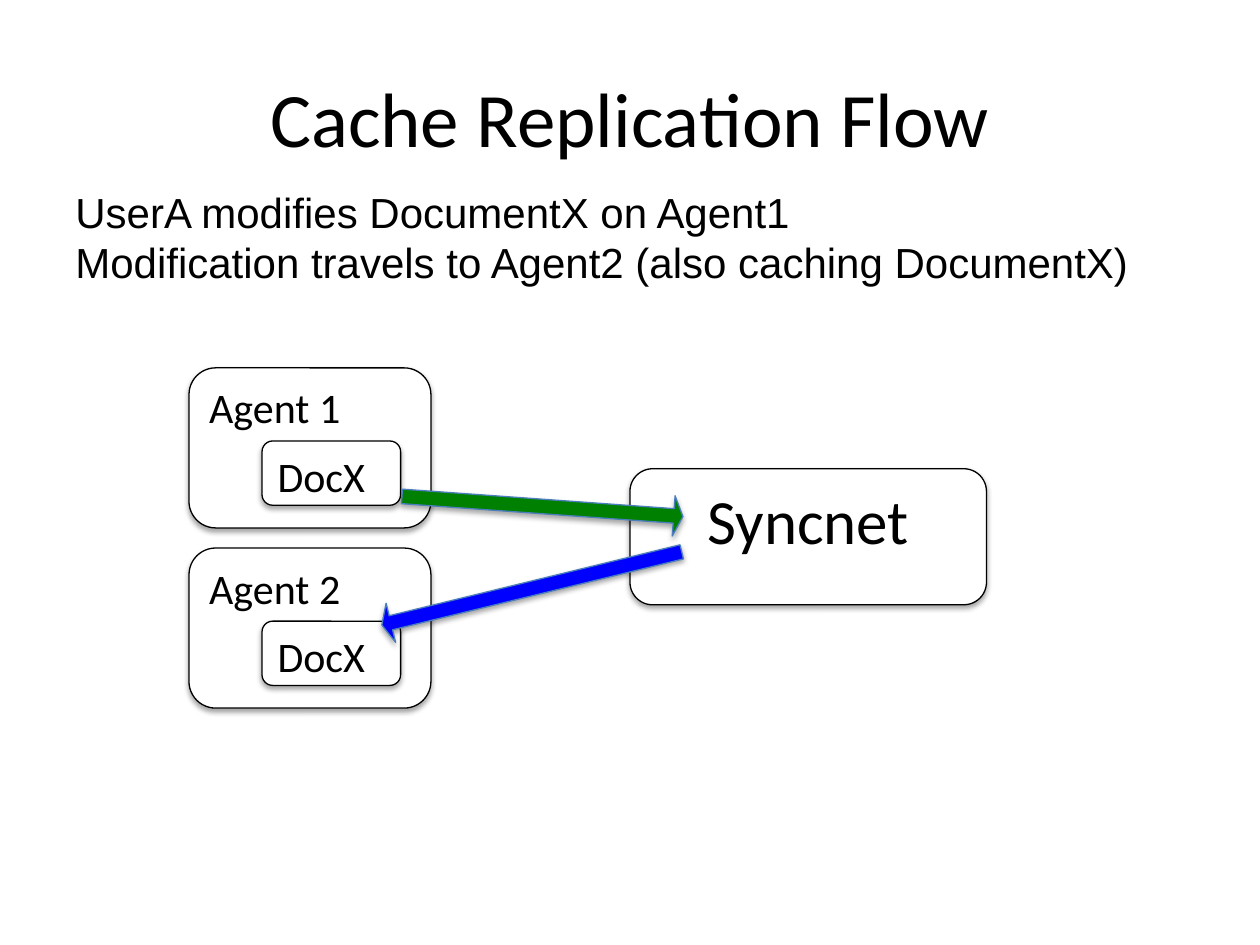
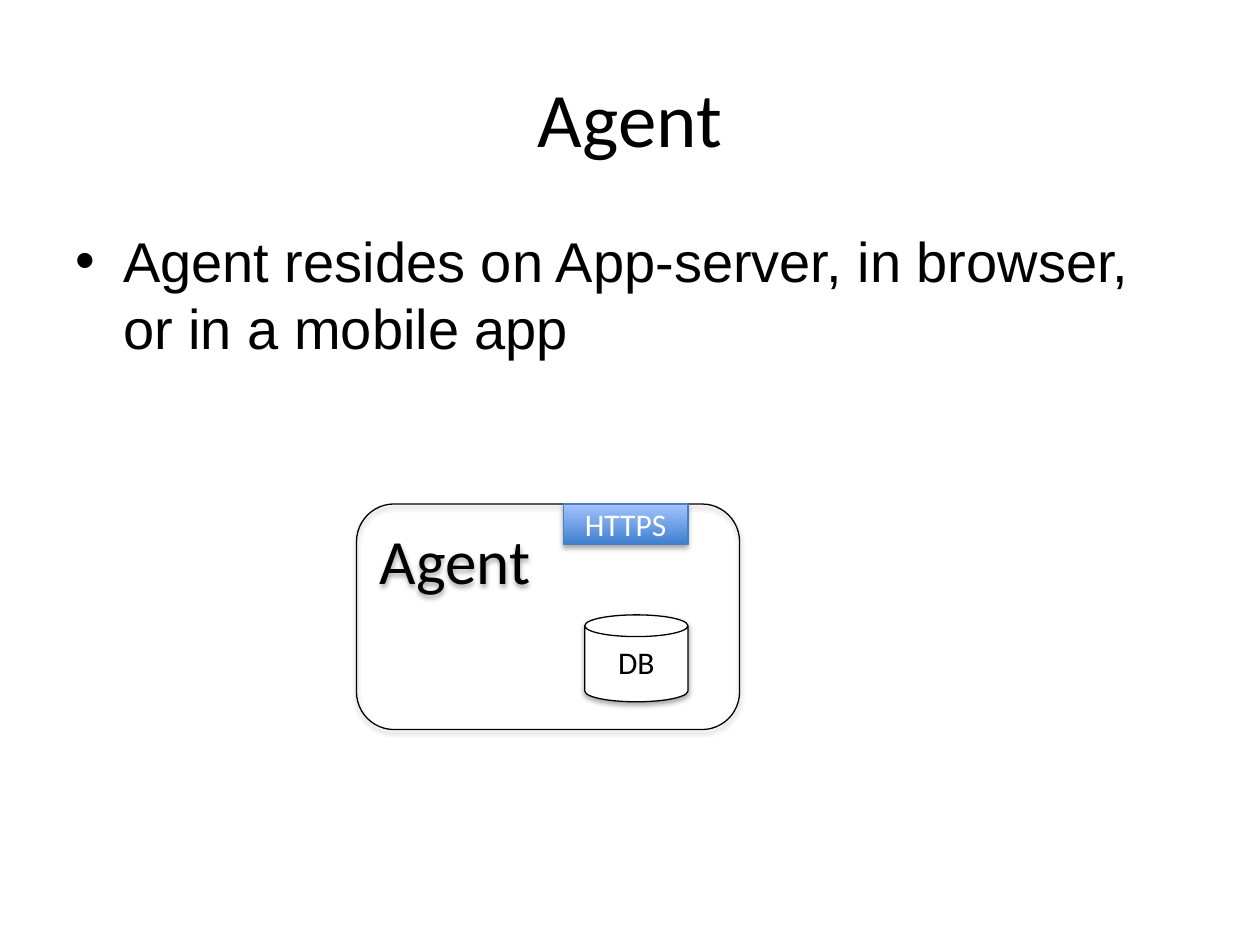
from math import atan2, degrees, hypot

from lxml.etree import SubElement
from pptx import Presentation
from pptx.dml.color import RGBColor
from pptx.enum.shapes import MSO_SHAPE as SHAPE
from pptx.enum.text import MSO_ANCHOR as ANCHOR, PP_ALIGN as ALIGN
from pptx.oxml.ns import qn
from pptx.util import Inches, Pt

WIDTH, HEIGHT = 10, 7.5
MARGIN = 0.05 * WIDTH
BODY_W = WIDTH - 2 * MARGIN

BLACK = RGBColor(0x00, 0x00, 0x00)
WHITE = RGBColor(0xFF, 0xFF, 0xFF)
GREEN = RGBColor(0x00, 0x80, 0x00)
BLUE = RGBColor(0x00, 0x00, 0xFF)
EDGE = RGBColor(0x4B, 0x7E, 0xBC)
GRADIENT = (RGBColor(0x3F, 0x80, 0xCE), RGBColor(0xA4, 0xC4, 0xFF))

# Slide 1: agents stacked in a column, each caching one document
FLOW_TITLE = "Cache Replication Flow"
FLOW_STEPS = ["UserA modifies DocumentX on Agent1",
              "Modification travels to Agent2 (also caching DocumentX)"]
SERVICE = "Syncnet"
AGENTS = [("Agent 1", "DocX"), ("Agent 2", "DocX")]
AGENT_X, AGENT_Y, AGENT_PITCH = 1.5, 2.92, 1.43
DOC_INSET = 0.58
FLOW_ARROWS = [((3.19, 3.94), (5.42, 4.1), GREEN),
               ((5.41, 4.38), (3.03, 4.96), BLUE)]
ARROW_H = 0.32

# Slide 2: the agent box, with its port and store sharing a right edge
AGENT_TITLE = "Agent"
AGENT_BULLETS = ["Agent resides on App-server, in browser, or in a mobile app"]
AGENT_BOX = (2.83, 4, 3.04, 1.79)
INNER_RIGHT = 5.46
PORT, PORT_W, PORT_H = "HTTPS", 0.99, 0.32
STORE, STORE_Y, STORE_W, STORE_H = "DB", 4.88, 0.82, 0.69


def write(sp, lines, size, font="Calibri", color=BLACK, align=ALIGN.LEFT,
          anchor=ANCHOR.TOP, bullet=False):
    tf = sp.text_frame
    tf.word_wrap = True
    tf.vertical_anchor = anchor
    for i, line in enumerate(lines):
        p = tf.add_paragraph() if i else tf.paragraphs[0]
        p.alignment = align
        r = p.add_run()
        r.text = line
        r.font.name, r.font.size, r.font.color.rgb = font, Pt(size), color
        if bullet:
            p.space_before = Pt(0.2 * size)
            pPr = p._p.get_or_add_pPr()
            pPr.set("marL", str(Inches(0.38)))
            pPr.set("indent", str(-Inches(0.38)))
            SubElement(pPr, qn("a:buFont"), typeface="Arial")
            SubElement(pPr, qn("a:buChar"), char="•")


def add_text(s, at, lines, size, **fmt):
    write(s.shapes.add_textbox(*map(Inches, at)), lines, size, **fmt)


def add_shadow(sp):
    sp.shadow.inherit = False
    effects = sp._element.spPr.find(qn("a:effectLst"))
    shadow = SubElement(effects, qn("a:outerShdw"), blurRad=str(Pt(3.1)),
                        dist=str(Pt(1.8)), dir="5400000", rotWithShape="0")
    color = SubElement(shadow, qn("a:srgbClr"), val=str(BLACK))
    SubElement(color, qn("a:alpha"), val="35000")


def add_box(s, kind, at, text=None, size=24, fill=WHITE, line=BLACK, **fmt):
    """Outlined, shadowed shape; fill is a colour, a pair of colours or None."""
    sp = s.shapes.add_shape(kind, *map(Inches, at))
    if fill is None:
        sp.fill.background()
    elif isinstance(fill, RGBColor):
        sp.fill.solid()
        sp.fill.fore_color.rgb = fill
    else:
        sp.fill.gradient()
        sp.fill.gradient_angle = 90
        for stop, color in zip(sp.fill.gradient_stops, fill):
            stop.color.rgb = color
    sp.line.color.rgb, sp.line.width = line, Pt(0.75)
    add_shadow(sp)
    if text:
        write(sp, [text], size, **fmt)
    return sp


def add_flow_arrow(s, start, end, color):
    (x1, y1), (x2, y2) = start, end
    length = hypot(x2 - x1, y2 - y1)
    at = ((x1 + x2 - length) / 2, (y1 + y2 - ARROW_H) / 2, length, ARROW_H)
    sp = add_box(s, SHAPE.RIGHT_ARROW, at, fill=color, line=EDGE)
    sp.adjustments[0], sp.adjustments[1] = 0.36, 0.23
    sp.rotation = degrees(atan2(y2 - y1, x2 - x1))


def add_slide(prs, title):
    s = prs.slides.add_slide(prs.slide_layouts[6])
    add_text(s, (MARGIN, 0.04 * HEIGHT, BODY_W, 1.25), [title], 44,
             align=ALIGN.CENTER, anchor=ANCHOR.MIDDLE)
    return s


def build_flow(prs):
    s = add_slide(prs, FLOW_TITLE)
    add_text(s, (MARGIN, 1.43, 9.17, 0.91), FLOW_STEPS, 24, font="Arial")
    add_box(s, SHAPE.ROUNDED_RECTANGLE, (5, 3.72, 2.83, 1.08), SERVICE, 36,
            align=ALIGN.CENTER)
    for i, (agent, doc) in enumerate(AGENTS):
        y = AGENT_Y + i * AGENT_PITCH
        add_box(s, SHAPE.ROUNDED_RECTANGLE, (AGENT_X, y, 1.92, 1.27), agent)
        add_box(s, SHAPE.ROUNDED_RECTANGLE,
                (AGENT_X + DOC_INSET, y + DOC_INSET, 1.1, 0.51), doc)
    for arrow in FLOW_ARROWS:
        add_flow_arrow(s, *arrow)


def build_agent(prs):
    s = add_slide(prs, AGENT_TITLE)
    add_text(s, (MARGIN, 1.75, BODY_W, 4.95), AGENT_BULLETS, 32,
             font="Arial", bullet=True)
    add_box(s, SHAPE.ROUNDED_RECTANGLE, AGENT_BOX, AGENT_TITLE, 36, fill=None)
    add_box(s, SHAPE.CAN, (INNER_RIGHT - STORE_W, STORE_Y, STORE_W, STORE_H),
            STORE, 18, align=ALIGN.CENTER)
    add_box(s, SHAPE.RECTANGLE,
            (INNER_RIGHT - PORT_W, AGENT_BOX[1], PORT_W, PORT_H), PORT, 18,
            fill=GRADIENT, line=EDGE, color=WHITE, align=ALIGN.CENTER,
            anchor=ANCHOR.MIDDLE)


def main():
    prs = Presentation()
    prs.slide_width, prs.slide_height = Inches(WIDTH), Inches(HEIGHT)
    build_flow(prs)
    build_agent(prs)
    prs.save("out.pptx")


if __name__ == "__main__":
    main()
